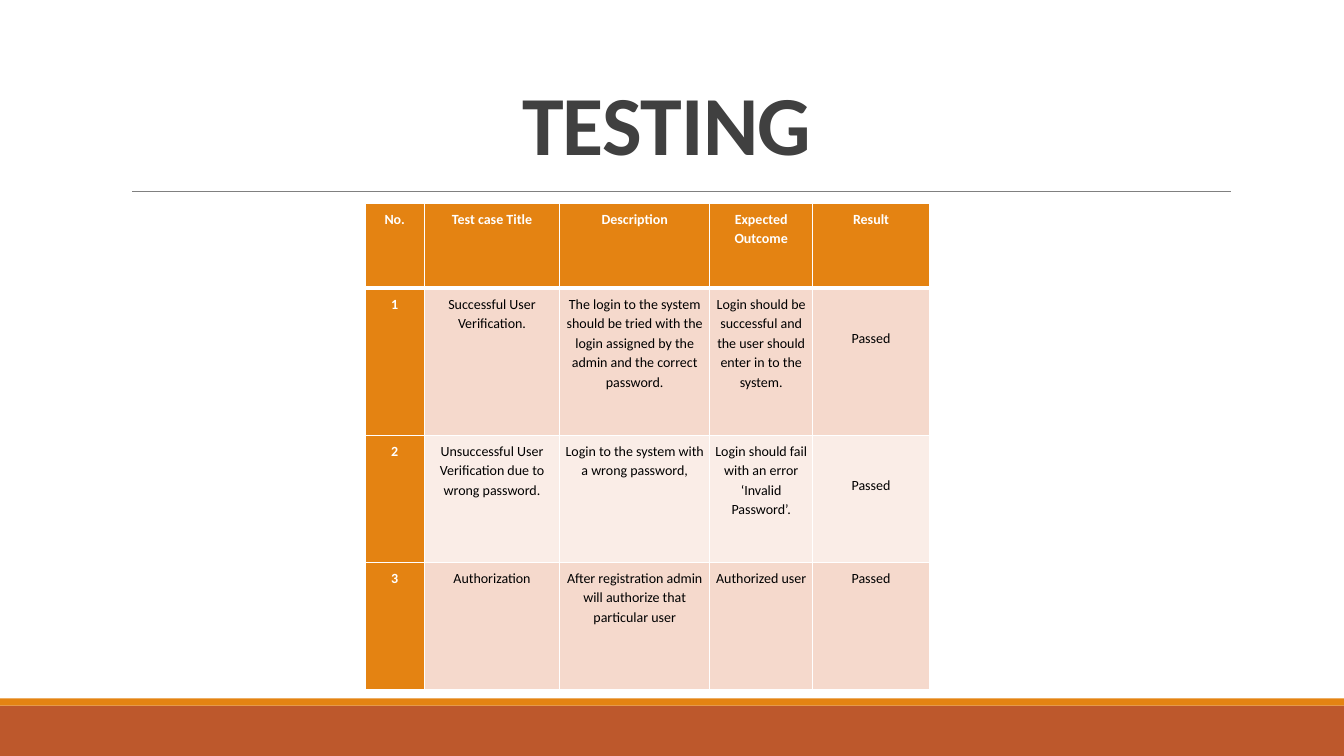
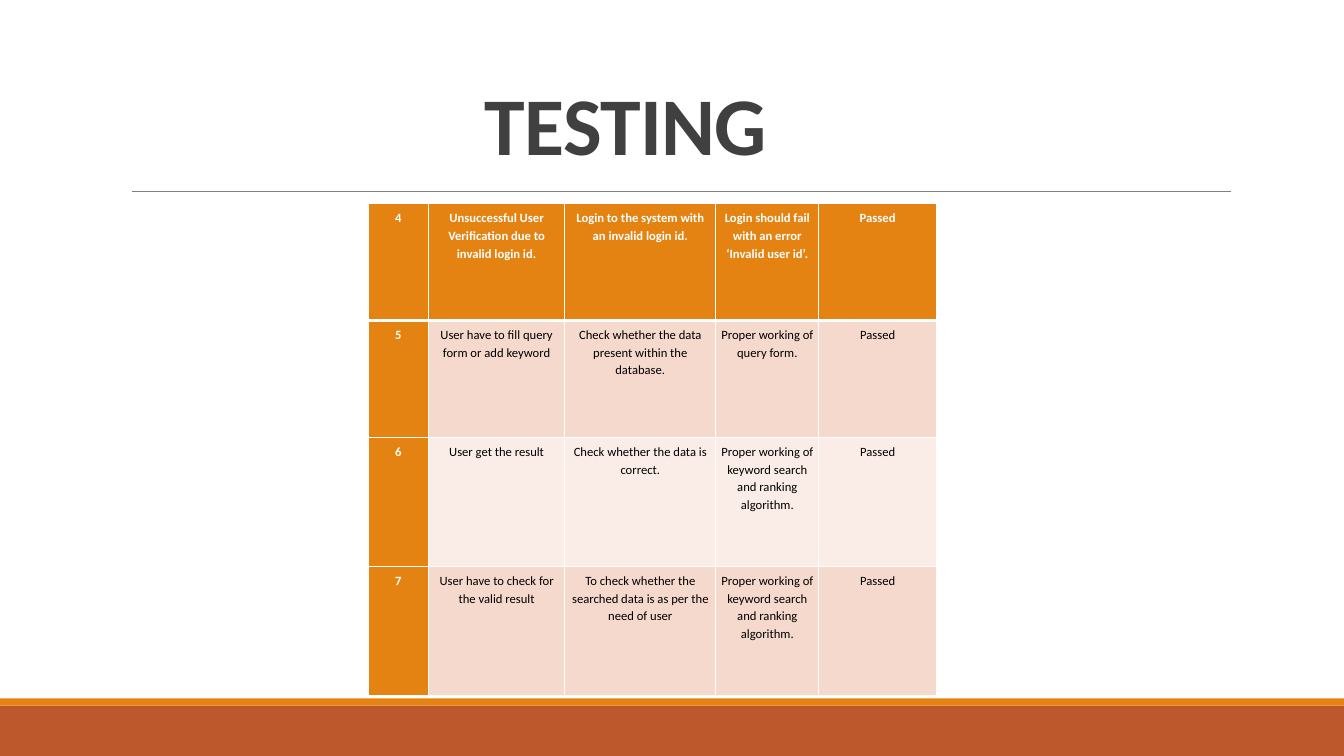
from lxml import etree
from pptx import Presentation
from pptx.dml.color import RGBColor
from pptx.enum.shapes import MSO_CONNECTOR, MSO_SHAPE
from pptx.enum.text import MSO_ANCHOR, PP_ALIGN
from pptx.oxml.ns import qn
from pptx.util import Pt

PX = 9144  # 100 px to the inch
WIDTH, HEIGHT = 1333, 750
FONT = "Calibri"
ORANGE, RUST = "E48312", "BD582C"
BAND_TINTS = ("F5D9CC", "FAEDE7")
WHITE, BLACK, TITLE_GREY, RULE_GREY = "FFFFFF", "000000", "404040", "808080"
TITLE_INDENT = 399
CELL_INSET, LOWERED_INSET = 5, 39

CASES_1_TO_3 = [
    ["No.", "Test case Title", "Description", "Expected Outcome", "Result"],
    ["1", "Successful User Verification.",
     "The login to the system should be tried with the login assigned by the admin "
     "and the correct password.",
     "Login should be successful and the user should enter in to the system.", "Passed"],
    ["2", "Unsuccessful User Verification due to wrong password.",
     "Login to the system with a wrong password,",
     "Login should fail with an error ‘Invalid Password’.", "Passed"],
    ["3", "Authorization", "After registration admin will authorize that particular user",
     "Authorized user", "Passed"],
]
RANKING_OUTCOME = "Proper working of keyword search and ranking algorithm."
CASES_4_TO_7 = [
    ["4", "Unsuccessful User Verification due to invalid login id.",
     "Login to the system with an invalid login id.",
     "Login should fail with an error ‘Invalid user id’.", "Passed"],
    ["5", "User have to fill query form or add keyword",
     "Check whether the data present within the database.",
     "Proper working of query form.", "Passed"],
    ["6", "User get the result", "Check whether the data is correct.",
     RANKING_OUTCOME, "Passed"],
    ["7", "User have to check for the valid result",
     "To check whether the searched data is as per the need of user",
     RANKING_OUTCOME, "Passed"],
]

SLIDES = [
    {"title": {"left": 109, "width": 1100, "size": 60},
     "table": {"left": 362, "cases": CASES_1_TO_3, "size": 10,
               "columns": [59, 134, 149, 102, 116], "rows": [84, 146, 126, 126],
               "lowered": {(1, 4), (2, 4)}}},
    {"title": {"left": 72, "width": 1137, "size": 58.5},
     "table": {"left": 365, "cases": CASES_4_TO_7, "size": 9,
               "columns": [60, 135, 150, 102, 117], "rows": [116, 116, 128, 128],
               "lowered": set()}},
]


def px(*lengths):
    return [length * PX for length in lengths]


def rgb(color):
    return RGBColor.from_string(color)


def set_format(target, values):
    for name, value in values.items():
        setattr(target, name, value)


def write(paragraph, text, size, color, bold):
    run = paragraph.add_run()
    run.text = text
    set_format(run.font, {"name": FONT, "size": Pt(size), "bold": bold})
    run.font.color.rgb = rgb(color)
    return run


def add_band(slide, top, height, color):
    band = slide.shapes.add_shape(MSO_SHAPE.RECTANGLE, *px(0, top, WIDTH, height))
    band.shadow.inherit = False
    band.fill.solid()
    band.fill.fore_color.rgb = rgb(color)
    band.line.fill.background()


def add_title_rule(slide):
    rule = slide.shapes.add_connector(MSO_CONNECTOR.STRAIGHT, *px(131, 190, 1221, 190))
    rule.line.color.rgb = rgb(RULE_GREY)
    rule.line.width = Pt(0.5)
    etree.SubElement(rule._element.spPr, qn("a:effectLst"))


def add_title(slide, left, width, size):
    frame = slide.shapes.add_textbox(*px(left, 17, width, 159)).text_frame
    set_format(frame, {"word_wrap": True, "vertical_anchor": MSO_ANCHOR.BOTTOM})
    paragraph = frame.paragraphs[0]
    paragraph.line_spacing = 0.85
    paragraph._p.get_or_add_pPr().set("marL", str(TITLE_INDENT * PX))
    run = write(paragraph, "TESTING", size, TITLE_GREY, True)
    run.font._element.set("spc", "-50")


def add_borders(cell, widths):
    """Draw white borders; widths gives points per side tag."""
    properties = cell._tc.get_or_add_tcPr()
    for side, points in widths.items():
        line = etree.SubElement(properties, qn(f"a:{side}"), w=str(Pt(points)))
        fill = etree.SubElement(line, qn("a:solidFill"))
        etree.SubElement(fill, qn("a:srgbClr"), val=WHITE)


def fill_cell(cell, text, size, row, column, top_inset):
    heading = row == 0 or column == 0
    add_borders(cell, {"lnL": 1, "lnR": 1,
                       "lnT": 3 if row == 1 else 1, "lnB": 3 if row == 0 else 1})
    cell.fill.solid()
    cell.fill.fore_color.rgb = rgb(ORANGE if heading else BAND_TINTS[(row - 1) % 2])
    left, right, bottom, top = px(CELL_INSET, CELL_INSET, CELL_INSET, top_inset)
    set_format(cell, {"margin_left": left, "margin_right": right,
                      "margin_bottom": bottom, "margin_top": top})
    paragraph = cell.text_frame.paragraphs[0]
    set_format(paragraph, {"alignment": PP_ALIGN.CENTER, "line_spacing": 1.15,
                           "space_after": Pt(10)})
    write(paragraph, text, size, WHITE if heading else BLACK, heading)


def add_case_table(slide, left, cases, size, columns, rows, lowered):
    """Add the test cases; cells in lowered start one line further down."""
    table = slide.shapes.add_table(
        len(rows), len(columns), *px(left, 202, sum(columns), sum(rows))).table
    for column, width in zip(table.columns, px(*columns)):
        column.width = width
    for row, height in zip(table.rows, px(*rows)):
        row.height = height
    for row, case in enumerate(cases):
        for column, text in enumerate(case):
            top_inset = LOWERED_INSET if (row, column) in lowered else CELL_INSET
            fill_cell(table.cell(row, column), text, size, row, column, top_inset)


def add_test_slide(deck, title, table):
    slide = deck.slides.add_slide(deck.slide_layouts[6])
    add_band(slide, 700, 50, RUST)
    add_band(slide, 693, 7, ORANGE)
    add_title_rule(slide)
    add_title(slide, **title)
    add_case_table(slide, **table)


def main():
    deck = Presentation()
    deck.slide_width, deck.slide_height = px(WIDTH, HEIGHT)
    for content in SLIDES:
        add_test_slide(deck, **content)
    deck.save("out.pptx")


if __name__ == "__main__":
    main()
